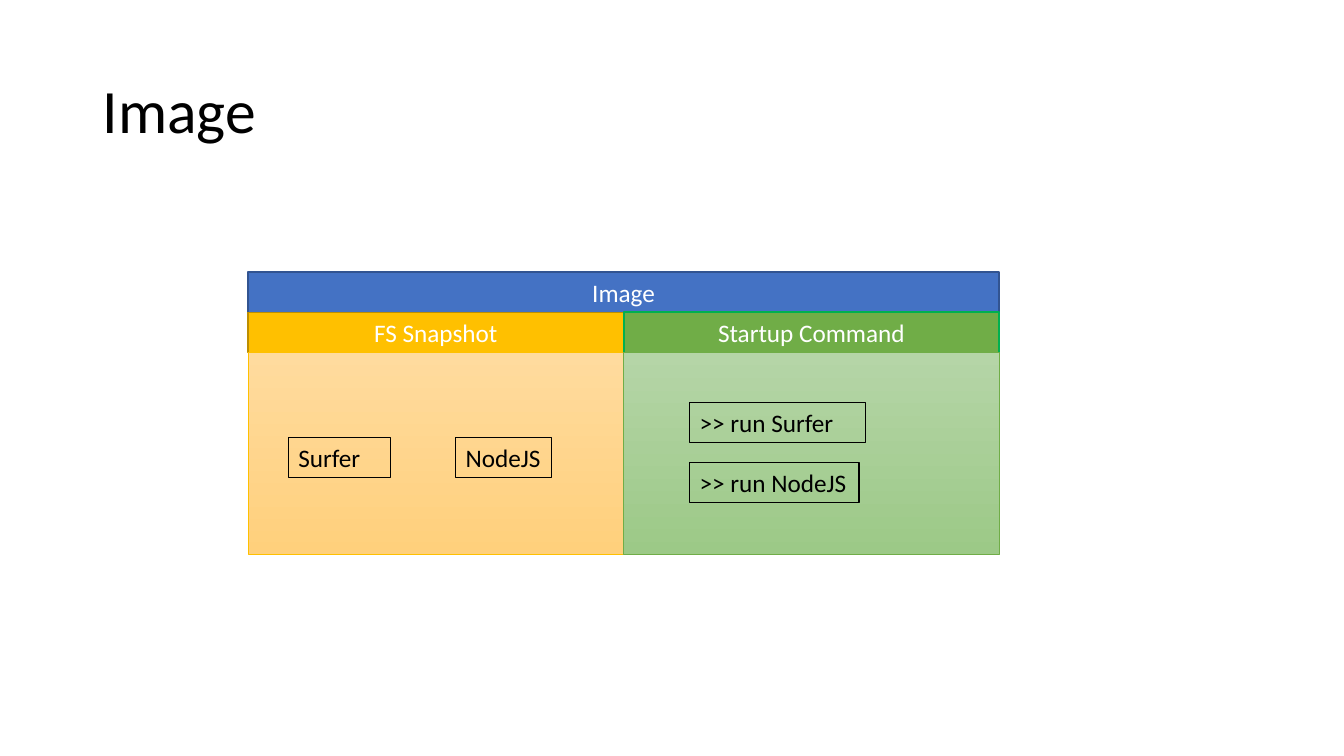
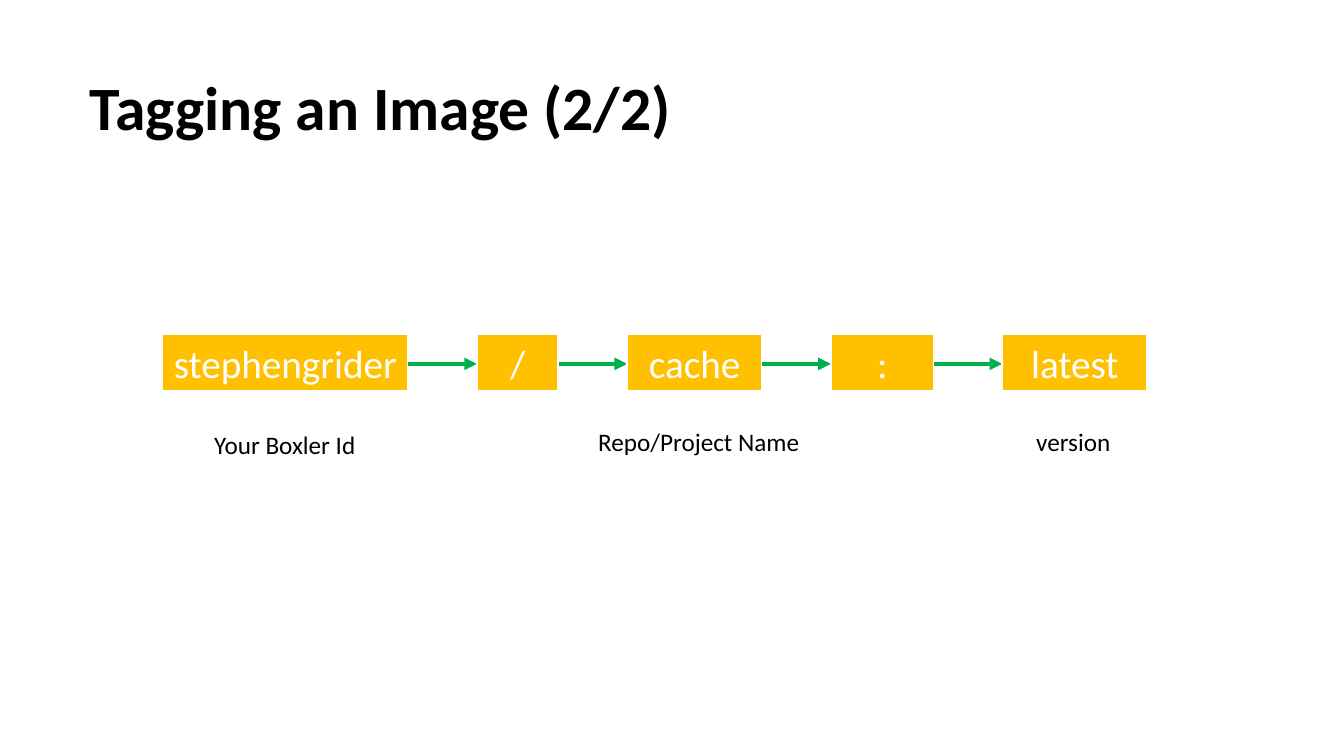
from dataclasses import dataclass
from typing import Any, Optional

from pptx import Presentation
from pptx.dml.color import RGBColor as Rgb
from pptx.enum.shapes import MSO_CONNECTOR as Connector, MSO_SHAPE as Preset
from pptx.enum.text import MSO_ANCHOR as Anchor, PP_ALIGN as Align
from pptx.oxml.ns import qn
from pptx.slide import Slide
from pptx.util import Inches, Pt
from lxml.etree import SubElement


@dataclass(frozen=True)
class Theme:
    font: str = "Calibri"
    title_size: int = 44
    tag_size: int = 28
    body_size: int = 18
    black: str = "000000"
    white: str = "FFFFFF"
    blue: str = "4472C4"
    blue_edge: str = "325491"
    gold: str = "FFC000"
    gold_edge: str = "BD8E00"
    green: str = "70AD47"
    green_edge: str = "00B050"
    gold_fade: tuple[str, str] = ("FFDB9E", "FFD07C")
    green_fade: tuple[str, str] = ("B5D5A7", "9CC987")


THEME = Theme()


@dataclass(frozen=True)
class BoxStyle:
    fill: Optional[str] = None
    fade: Optional[tuple[str, str]] = None
    edge: Optional[str] = None
    edge_width: float = 1
    color: str = THEME.black
    size: int = THEME.body_size
    bold: bool = False
    align: Align = Align.CENTER
    wrap: bool = False
    spacing: float = 1


@dataclass(frozen=True)
class Box:
    left: float
    top: float
    width: float
    height: float
    text: str
    style: BoxStyle


@dataclass(frozen=True)
class Column:
    heading: str
    heading_style: BoxStyle
    body_style: BoxStyle


TITLE = BoxStyle(size=THEME.title_size, align=Align.LEFT, wrap=True, spacing=0.9)
BOLD_TITLE = BoxStyle(size=THEME.title_size, bold=True, align=Align.LEFT, wrap=True, spacing=0.9)
BANNER = BoxStyle(fill=THEME.blue, edge=THEME.blue_edge, color=THEME.white)
CHIP = BoxStyle(edge=THEME.black, edge_width=0.75, align=Align.LEFT)
TAG = BoxStyle(fill=THEME.gold, edge=THEME.white, edge_width=1.5,
               color=THEME.white, size=THEME.tag_size)
CAPTION = BoxStyle()

COLUMNS = (
    Column("FS Snapshot",
           BoxStyle(fill=THEME.gold, edge=THEME.gold_edge, color=THEME.white),
           BoxStyle(fade=THEME.gold_fade, edge=THEME.gold, edge_width=0.5)),
    Column("Startup Command",
           BoxStyle(fill=THEME.green, edge=THEME.green_edge, edge_width=1.5, color=THEME.white),
           BoxStyle(fade=THEME.green_fade, edge=THEME.green, edge_width=0.5)),
)
ROW_HEIGHT = 0.4
CHIPS = (
    Box(2.86, 4.34, 1.01, ROW_HEIGHT, "Surfer", CHIP),
    Box(4.52, 4.34, 0.95, ROW_HEIGHT, "NodeJS", CHIP),
    Box(6.84, 3.99, 1.74, ROW_HEIGHT, ">> run Surfer", CHIP),
    Box(6.84, 4.59, 1.68, ROW_HEIGHT, ">> run NodeJS", CHIP),
)
TAG_WIDTHS = {"stephengrider": 2.44, "/": 0.81, "cache": 1.34, ":": 1.02, "latest": 1.44}
CAPTIONS = (
    Box(1.98, 4.21, 1.69, ROW_HEIGHT, "Your Boxler Id", CAPTION),
    Box(5.82, 4.18, 2.22, ROW_HEIGHT, "Repo/Project Name", CAPTION),
    Box(10.17, 4.18, 0.95, ROW_HEIGHT, "version", CAPTION),
)


def apply(target: Any, values: dict[str, Any]) -> None:
    for name, value in values.items():
        setattr(target, name, value)


def paint(shape: Any, style: BoxStyle) -> None:
    shape.shadow.inherit = False
    if style.fade:
        shape.fill.gradient()
        shape.fill.gradient_angle = 270
        for stop, color in zip(shape.fill.gradient_stops, style.fade):
            stop.color.rgb = Rgb.from_string(color)
    elif style.fill:
        shape.fill.solid()
        shape.fill.fore_color.rgb = Rgb.from_string(style.fill)
    else:
        shape.fill.background()
    shape.line.color.rgb = Rgb.from_string(style.edge)
    shape.line.width = Pt(style.edge_width)


def write(frame: Any, text: str, style: BoxStyle) -> None:
    apply(frame, {"word_wrap": style.wrap, "vertical_anchor": Anchor.MIDDLE})
    para = frame.paragraphs[0]
    apply(para, {"alignment": style.align, "line_spacing": style.spacing})
    span = para.add_run()
    span.text = text
    apply(span.font, {"name": THEME.font, "size": Pt(style.size), "bold": style.bold})
    span.font.color.rgb = Rgb.from_string(style.color)


def draw_box(page: Slide, box: Box) -> None:
    area = [Inches(value) for value in (box.left, box.top, box.width, box.height)]
    if box.style.edge:
        shape = page.shapes.add_shape(Preset.RECTANGLE, *area)
        paint(shape, box.style)
    else:
        shape = page.shapes.add_textbox(*area)
    if box.text:
        write(shape.text_frame, box.text, box.style)


def draw_arrow(page: Slide, start: float, end: float, level: float) -> None:
    arrow = page.shapes.add_connector(
        Connector.STRAIGHT, Inches(start), Inches(level), Inches(end), Inches(level))
    arrow.line.color.rgb = Rgb.from_string(THEME.green_edge)
    arrow.line.width = Pt(3)
    properties = arrow.line._get_or_add_ln()
    SubElement(properties, qn("a:tailEnd"), type="triangle")
    SubElement(properties.getparent(), qn("a:effectLst"))


def draw_image_page(page: Slide) -> None:
    left, top, width = 2.46, 2.7, 7.45
    column_width = width / len(COLUMNS)
    draw_box(page, Box(0.92, 0.4, 11.5, 1.45, "Image", TITLE))
    draw_box(page, Box(left, top, width, ROW_HEIGHT, "Image", BANNER))
    for index, column in enumerate(COLUMNS):
        column_left = left + index * column_width
        draw_box(page, Box(column_left, top + ROW_HEIGHT, column_width, ROW_HEIGHT,
                           column.heading, column.heading_style))
        draw_box(page, Box(column_left, top + 2 * ROW_HEIGHT, column_width, 2,
                           "", column.body_style))
    for chip in CHIPS:
        draw_box(page, chip)


def draw_tagging_page(page: Slide) -> None:
    left, top, height, gap = 1.61, 3.31, 0.57, 0.68
    draw_box(page, Box(0.79, 0.37, 11.5, 1.45, "Tagging an Image (2/2)", BOLD_TITLE))
    for index, (text, width) in enumerate(TAG_WIDTHS.items()):
        if index:
            draw_arrow(page, left - gap, left, 3.61)
        draw_box(page, Box(left, top, width, height, text, TAG))
        left += width + gap
    for caption in CAPTIONS:
        draw_box(page, caption)


def main() -> None:
    deck = Presentation()
    apply(deck, {"slide_width": Inches(13.33), "slide_height": Inches(7.5)})
    for draw_page in (draw_image_page, draw_tagging_page):
        draw_page(deck.slides.add_slide(deck.slide_layouts[6]))
    deck.save("out.pptx")


if __name__ == "__main__":
    main()
